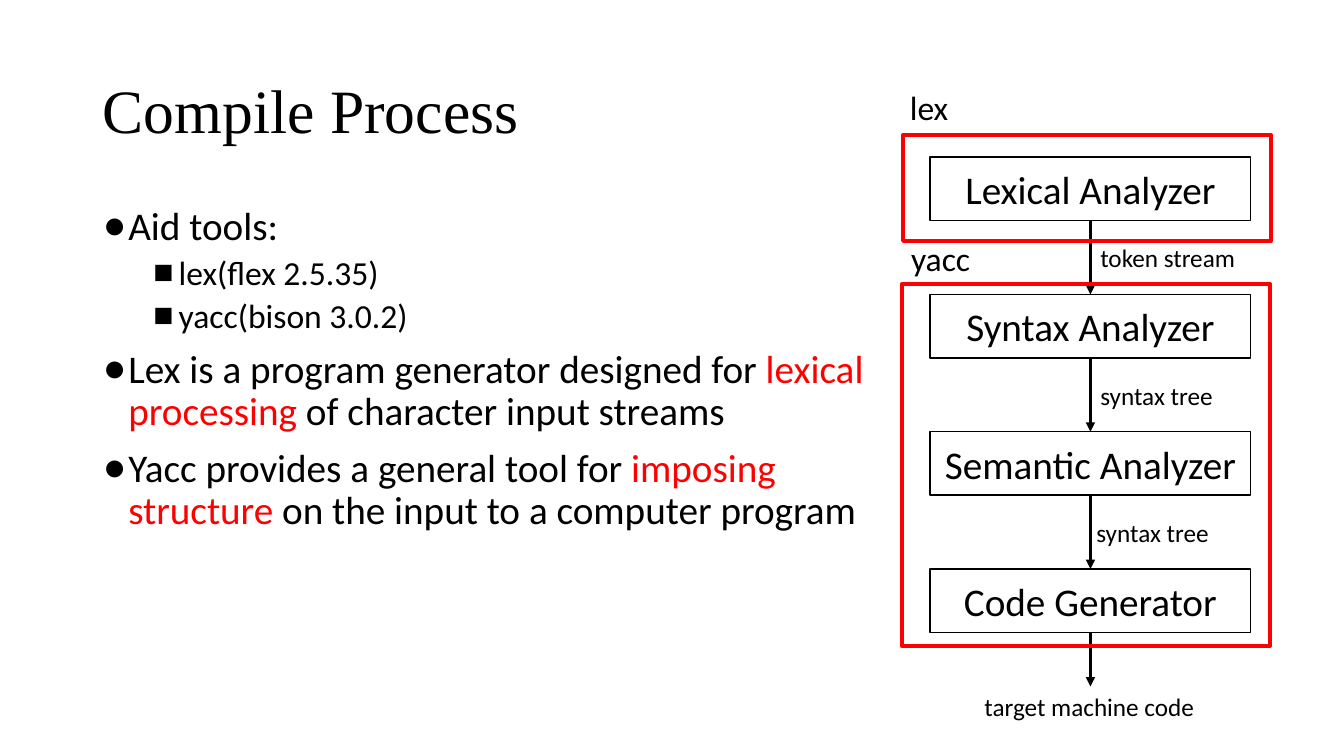
from lxml.etree import SubElement
from pptx import Presentation
from pptx.dml.color import RGBColor
from pptx.enum.shapes import MSO_CONNECTOR as Connector, MSO_SHAPE as Shape
from pptx.enum.text import MSO_ANCHOR as Anchor, MSO_AUTO_SIZE as AutoSize, PP_ALIGN as Align
from pptx.oxml.ns import qn
from pptx.util import Cm, Pt

COLOURS = {"ink": "000000", "paper": "FFFFFF", "accent": "FF0000"}

# Flow chart geometry in centimetres
STAGE_LEFT, STAGE_TOP, STAGE_WIDTH, STAGE_HEIGHT = 23.44, 3.96, 8.08, 1.6
STAGE_STEP = 3.46
ARROW_X = STAGE_LEFT + STAGE_WIDTH / 2
FLOW_END = 17.3

STAGES = ["Lexical Analyzer", "Syntax Analyzer", "Semantic Analyzer", "Code Generator"]

# Text, left, top, width, height, size
LABELS = [
    ("token stream", 27.48, 5.97, 3.94, 1.02, 18),
    ("syntax tree", 27.48, 9.45, 3.38, 1.02, 18),
    ("syntax tree", 27.38, 12.9, 3.38, 1.02, 18),
    ("target machine code", 24.56, FLOW_END, 5.87, 1.02, 18),
    ("lex", 22.68, 2.06, 1.5, 1.27, 24),
    ("yacc", 22.71, 5.87, 2.03, 1.27, 24),
]

TOOL_FRAMES = [(22.76, 3.4, 9.27, 2.67), (22.73, 7.16, 9.27, 9.12)]

# Level, runs of text and colour
POINTS = [
    (0, [("Aid tools:", "ink")]),
    (1, [("lex(flex 2.5.35)", "ink")]),
    (1, [("yacc(bison 3.0.2)", "ink")]),
    (0, [("Lex is a program generator designed for ", "ink"),
         ("lexical processing", "accent"),
         (" of character input streams", "ink")]),
    (0, [("Yacc provides a general tool for ", "ink"),
         ("imposing structure ", "accent"),
         ("on the input to a computer program", "ink")]),
]

# Bullet, size, space before, left margin per level
LEVELS = [("●", 28, 10, 0.64), ("■", 24, 5, 1.91)]
HANGING = 0.64


def colour(name):
    return RGBColor.from_string(COLOURS[name])


def place(box, left, top, width, height):
    box.left, box.top, box.width, box.height = map(Cm, (left, top, width, height))


def add_span(para, text, size, ink="ink", font="Calibri"):
    span = para.add_run()
    span.text = text
    span.font.name = font
    span.font.size = Pt(size)
    span.font.color.rgb = colour(ink)


def fill_title(title):
    place(title, 2.34, 1.02, 29.21, 3.68)
    frame = title.text_frame
    frame.auto_size = AutoSize.NONE
    frame.vertical_anchor = Anchor.MIDDLE
    para = frame.paragraphs[0]
    para.alignment = Align.LEFT
    para.line_spacing = 0.9
    add_span(para, "Compile Process", 44, font="Times New Roman")


def fill_body(body):
    place(body, 2.34, 5.08, 20.42, 13.51)
    frame = body.text_frame
    frame.auto_size = AutoSize.NONE
    for index, (level, spans) in enumerate(POINTS):
        bullet, size, space, margin = LEVELS[level]
        para = frame.add_paragraph() if index else frame.paragraphs[0]
        para.level = level
        para.line_spacing = 0.9
        para.space_before = Pt(space if index else 0)
        properties = para._p.get_or_add_pPr()
        properties.set("marL", str(Cm(margin)))
        properties.set("indent", str(-Cm(HANGING)))
        SubElement(properties, qn("a:buChar"), char=bullet)
        for text, ink in spans:
            add_span(para, text, size, ink)


def add_box(page, left, top, width, height, line, weight, fill=None):
    box = page.shapes.add_shape(Shape.RECTANGLE, Cm(left), Cm(top), Cm(width), Cm(height))
    box.shadow.inherit = False
    box.line.color.rgb = colour(line)
    box.line.width = Pt(weight)
    if fill:
        box.fill.solid()
        box.fill.fore_color.rgb = colour(fill)
    else:
        box.fill.background()
    return box


def add_stage(page, name, top):
    box = add_box(page, STAGE_LEFT, top, STAGE_WIDTH, STAGE_HEIGHT, "ink", 1, "paper")
    frame = box.text_frame
    frame.word_wrap = True
    frame.vertical_anchor = Anchor.MIDDLE
    para = frame.paragraphs[0]
    para.alignment = Align.CENTER
    add_span(para, name, 28)


def add_arrow(page, top, bottom):
    arrow = page.shapes.add_connector(
        Connector.STRAIGHT, Cm(ARROW_X), Cm(top), Cm(ARROW_X), Cm(bottom))
    arrow.line.color.rgb = colour("ink")
    arrow.line.width = Pt(2.25)
    SubElement(arrow.line._get_or_add_ln(), qn("a:tailEnd"), type="triangle")
    SubElement(arrow._element.spPr, qn("a:effectLst"))


def add_label(page, text, left, top, width, height, size):
    box = page.shapes.add_textbox(Cm(left), Cm(top), Cm(width), Cm(height))
    frame = box.text_frame
    frame.word_wrap = False
    frame.auto_size = AutoSize.SHAPE_TO_FIT_TEXT
    add_span(frame.paragraphs[0], text, size)


def main():
    deck = Presentation()
    deck.slide_width, deck.slide_height = Cm(33.87), Cm(19.05)
    page = deck.slides.add_slide(deck.slide_layouts[1])

    # Title and list
    fill_title(page.shapes.title)
    fill_body(page.placeholders[1])

    # Stages, each with an arrow to the next or to the output
    tops = [STAGE_TOP + index * STAGE_STEP for index in range(len(STAGES))]
    for name, top, following in zip(STAGES, tops, tops[1:] + [FLOW_END]):
        add_stage(page, name, top)
        add_arrow(page, top + STAGE_HEIGHT, following)

    # Frames around the part each tool covers
    for area in TOOL_FRAMES:
        add_box(page, *area, "accent", 3)

    # Captions
    for label in LABELS:
        add_label(page, *label)

    deck.save("out.pptx")


if __name__ == "__main__":
    main()
